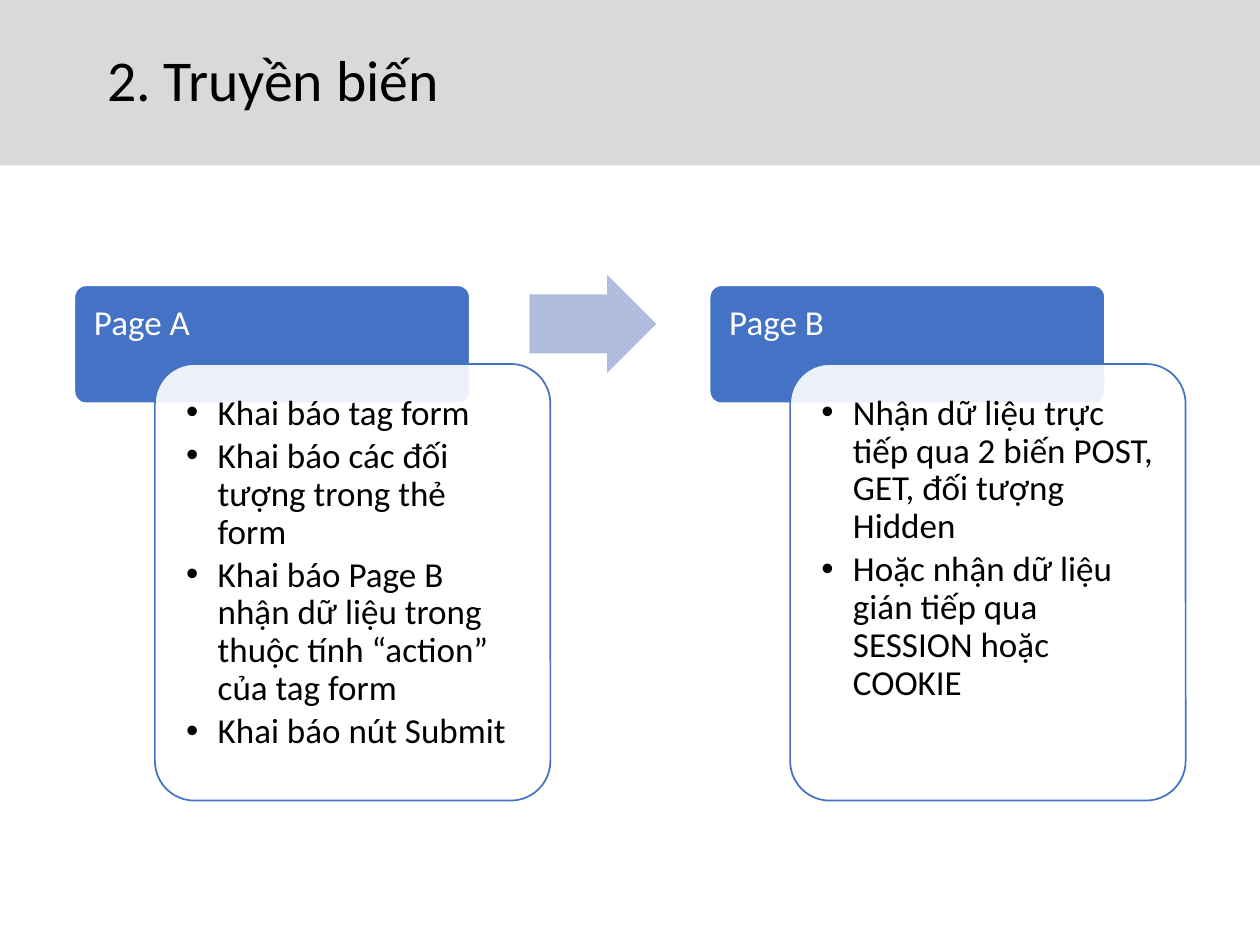
"""Build the slide on passing variables from page A to page B."""
import lxml.etree
import pptx
import pptx.dml.color
import pptx.enum.shapes
import pptx.enum.text
import pptx.oxml.ns
import pptx.util

Pt = pptx.util.Pt
SHAPES = pptx.enum.shapes.MSO_SHAPE
FONT = "Calibri"
BLUE = "4472C4"
WHITE = "FFFFFF"
BLACK = "000000"
PAGE_LEFT = 42.5
PAGE_STEP = 363
PAGES = [
    ("Page A", [
        "Khai báo tag form",
        "Khai báo các đối tượng trong thẻ form",
        "Khai báo Page B nhận dữ liệu trong thuộc tính “action” của tag form",
        "Khai báo nút Submit",
    ]),
    ("Page B", [
        "Nhận dữ liệu trực tiếp qua 2 biến POST, GET, đối tượng Hidden",
        "Hoặc nhận dữ liệu gián tiếp qua SESSION hoặc COOKIE",
    ]),
]


def set_color(color_format, value):
    """Set a colour from a hex string."""
    color_format.rgb = pptx.dml.color.RGBColor.from_string(value)


def add_element(parent, tag, **attributes):
    """Append a DrawingML element to a parent."""
    element = lxml.etree.SubElement(parent, pptx.oxml.ns.qn(tag))
    for name, value in attributes.items():
        element.set(name, value)
    return element


def add_shape(slide, kind, box, fill, line=None, adjustments=(), opacity=100):
    """Add a filled preset shape without a shadow."""
    shape = slide.shapes.add_shape(kind, *map(Pt, box))
    shape.shadow.inherit = False
    shape.fill.solid()
    set_color(shape.fill.fore_color, fill)
    if opacity < 100:
        color = shape.fill._xPr.find(".//" + pptx.oxml.ns.qn("a:srgbClr"))
        add_element(color, "a:alpha", val=str(opacity * 1000))
    if line:
        set_color(shape.line.color, line)
        shape.line.width = Pt(1)
    else:
        shape.line.fill.background()
    for index, value in enumerate(adjustments):
        shape.adjustments[index] = value
    return shape


def add_bullet(paragraph):
    """Give a paragraph a hanging round bullet."""
    properties = paragraph._p.get_or_add_pPr()
    properties.set("marL", str(Pt(18)))
    properties.set("indent", str(-Pt(18)))
    add_element(properties, "a:buFont", typeface="Arial")
    add_element(properties, "a:buChar", char="•")


def write_text(shape, lines, size, color, insets, space_after=0, bullets=False):
    """Write left-aligned paragraphs into a shape."""
    frame = shape.text_frame
    frame.word_wrap = True
    (frame.margin_left, frame.margin_top,
     frame.margin_right, frame.margin_bottom) = map(Pt, insets)
    frame.text = "\n".join(lines)
    for paragraph in frame.paragraphs:
        paragraph.alignment = pptx.enum.text.PP_ALIGN.LEFT
        paragraph.line_spacing = 0.9
        paragraph.space_after = Pt(space_after)
        if bullets:
            add_bullet(paragraph)
        for run in paragraph.runs:
            run.font.name = FONT
            run.font.size = Pt(size)
            set_color(run.font.color, color)


def add_title(slide, text):
    """Add the grey title band."""
    band = add_shape(slide, SHAPES.RECTANGLE, (0, 0, 720, 94.5), "D9D9D9")
    write_text(band, [text], 33, BLACK, (61.2, 3.6, 7.2, 3.6))
    band.text_frame.vertical_anchor = pptx.enum.text.MSO_ANCHOR.MIDDLE


def add_page(slide, left, heading, items):
    """Add a page header with its overlapping panel of bullets."""
    add_shape(slide, SHAPES.ROUNDED_RECTANGLE, (left, 163, 226, 67.5),
              BLUE, WHITE, [0.1])
    header = slide.shapes.add_textbox(Pt(left), Pt(163), Pt(226), Pt(45))
    write_text(header, [heading], 20, WHITE, (11.2, 11.2, 11.2, 6), 7)
    add_shape(slide, SHAPES.ROUNDED_RECTANGLE, (left + 46, 208, 226, 249.5),
              WHITE, BLUE, [0.1], 90)
    body = slide.shapes.add_textbox(Pt(left + 52.75), Pt(214.6), Pt(213), Pt(236))
    write_text(body, items, 20, BLACK, [11.2] * 4, 3, True)


def main():
    """Create and save the presentation."""
    presentation = pptx.Presentation()
    presentation.slide_width = Pt(720)
    presentation.slide_height = Pt(540)
    slide = presentation.slides.add_slide(presentation.slide_layouts[6])
    add_title(slide, "2. Truyền biến")
    for index, (heading, items) in enumerate(PAGES):
        add_page(slide, PAGE_LEFT + index * PAGE_STEP, heading, items)
    add_shape(slide, SHAPES.RIGHT_ARROW, (302.5, 157, 72.5, 56.25), "B0BCDE",
              adjustments=(0.6, 0.5))
    presentation.save("out.pptx")


main()
